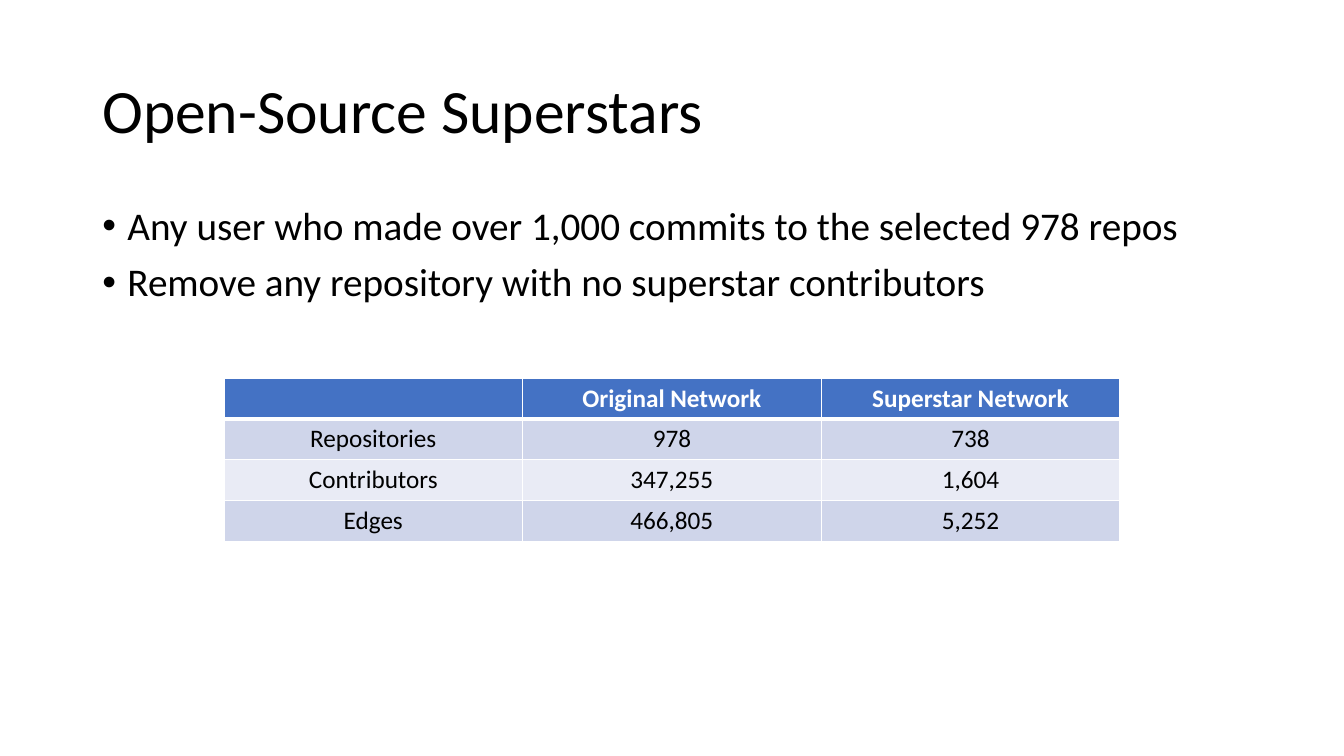
from lxml.etree import SubElement
from pptx import Presentation
from pptx.dml.color import RGBColor
from pptx.enum.text import MSO_ANCHOR, PP_ALIGN
from pptx.oxml import parse_xml
from pptx.oxml.ns import nsdecls, qn
from pptx.util import Pt

BLACK, WHITE = "000000", "FFFFFF"
HEADER_FILL = "4472C4"
BAND_FILLS = ("E9EBF5", "CFD5EA")


def color(hex_text):
    return RGBColor.from_string(hex_text)


class SlideBuilder:
    font_name = "Calibri"

    def __init__(self, slide):
        self.slide = slide

    def add_run(self, paragraph, text, size, ink=BLACK, bold=False):
        run = paragraph.add_run()
        run.text = text
        run.font.name = self.font_name
        run.font.size = Pt(size)
        run.font.bold = bold
        run.font.color.rgb = color(ink)

    def add_text(self, box, lines, size, anchor=MSO_ANCHOR.TOP, bulleted=False):
        frame = self.slide.shapes.add_textbox(*map(Pt, box)).text_frame
        frame.word_wrap = True
        frame.vertical_anchor = anchor
        for index, line in enumerate(lines):
            paragraph = frame.add_paragraph() if index else frame.paragraphs[0]
            paragraph.line_spacing = 0.9
            if index:
                paragraph.space_before = Pt(10)
            if bulleted:
                self.add_bullet(paragraph)
            self.add_run(paragraph, line, size)

    def add_bullet(self, paragraph, indent=18):
        properties = paragraph._p.get_or_add_pPr()
        properties.set("marL", str(Pt(indent)))
        properties.set("indent", str(-Pt(indent)))
        SubElement(properties, qn("a:buFont")).set("typeface", "Arial")
        SubElement(properties, qn("a:buChar")).set("char", "•")

    def add_borders(self, cell, **widths):
        """Draw white borders; widths maps each side (L, R, T, B) to points."""
        properties = cell._tc.get_or_add_tcPr()
        for position, (side, width) in enumerate(widths.items()):
            properties.insert(position, parse_xml(
                f'<a:ln{side} {nsdecls("a")} w="{Pt(width)}"><a:solidFill>'
                f'<a:srgbClr val="{WHITE}"/></a:solidFill></a:ln{side}>'))

    def add_table(self, box, rows, size):
        table = self.slide.shapes.add_table(
            len(rows), len(rows[0]), *map(Pt, box)).table
        for r, values in enumerate(rows):
            header = r == 0
            for c, value in enumerate(values):
                cell = table.cell(r, c)
                cell.fill.solid()
                cell.fill.fore_color.rgb = color(
                    HEADER_FILL if header else BAND_FILLS[r % 2])
                self.add_borders(cell, L=1, R=1, T=3 if r == 1 else 1,
                                 B=3 if header else 1)
                paragraph = cell.text_frame.paragraphs[0]
                paragraph.alignment = PP_ALIGN.CENTER
                if value:
                    self.add_run(paragraph, value, size,
                                 WHITE if header else BLACK, header)


def main():
    deck = Presentation()
    deck.slide_width, deck.slide_height = Pt(960), Pt(540)
    builder = SlideBuilder(deck.slides.add_slide(deck.slide_layouts[6]))
    builder.add_text((66, 28.8, 828, 104.4), ["Open-Source Superstars"], 44,
                     anchor=MSO_ANCHOR.MIDDLE)
    builder.add_text((66, 144, 828, 342.6), [
        "Any user who made over 1,000 commits to the selected 978 repos",
        "Remove any repository with no superstar contributors",
    ], 28, bulleted=True)
    builder.add_table((160, 270, 640, 116.8), [
        ("", "Original Network", "Superstar Network"),
        ("Repositories", "978", "738"),
        ("Contributors", "347,255", "1,604"),
        ("Edges", "466,805", "5,252"),
    ], 18)
    deck.save("out.pptx")


if __name__ == "__main__":
    main()
